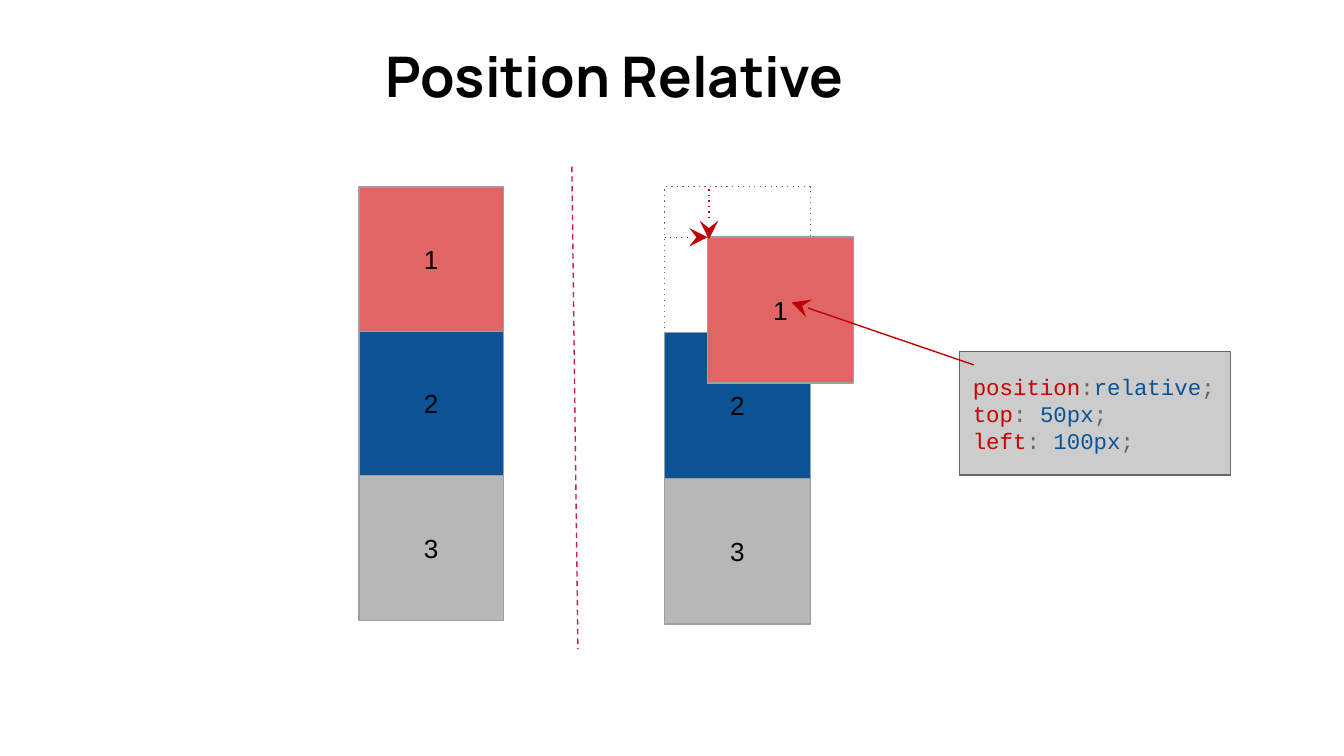
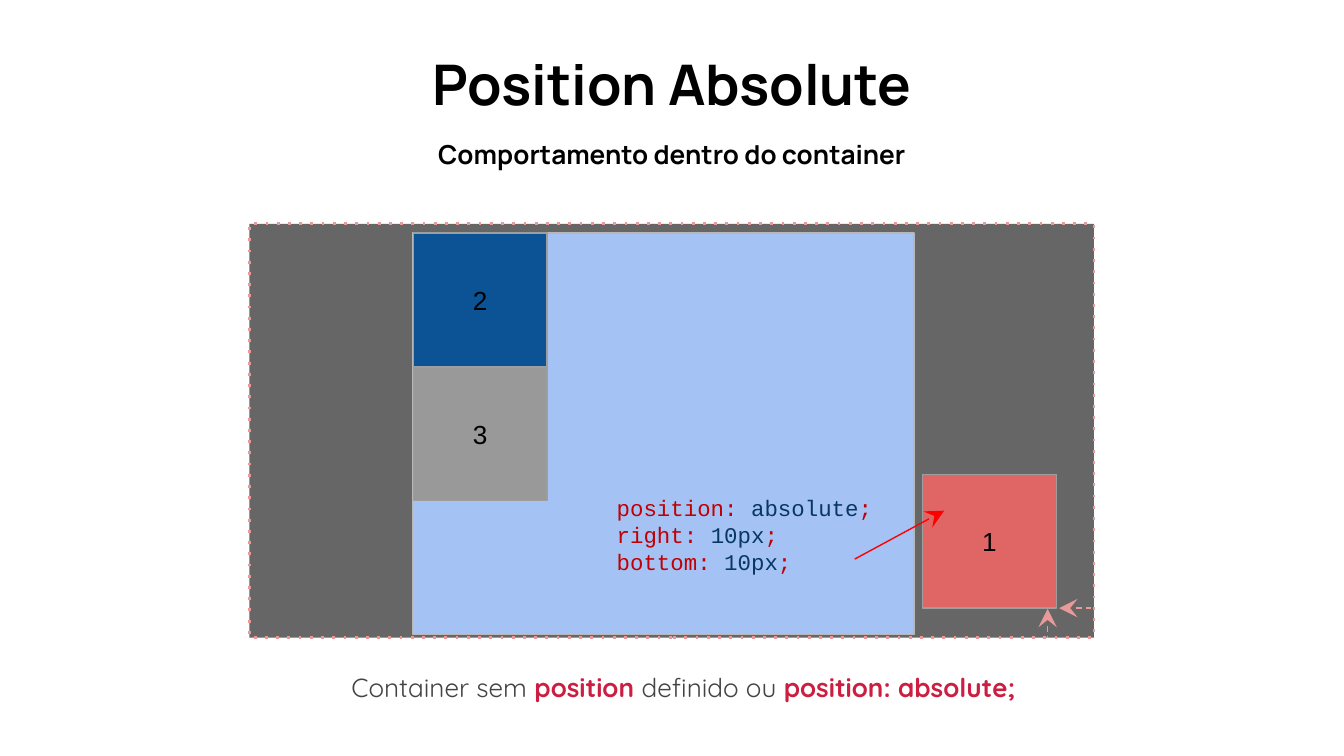
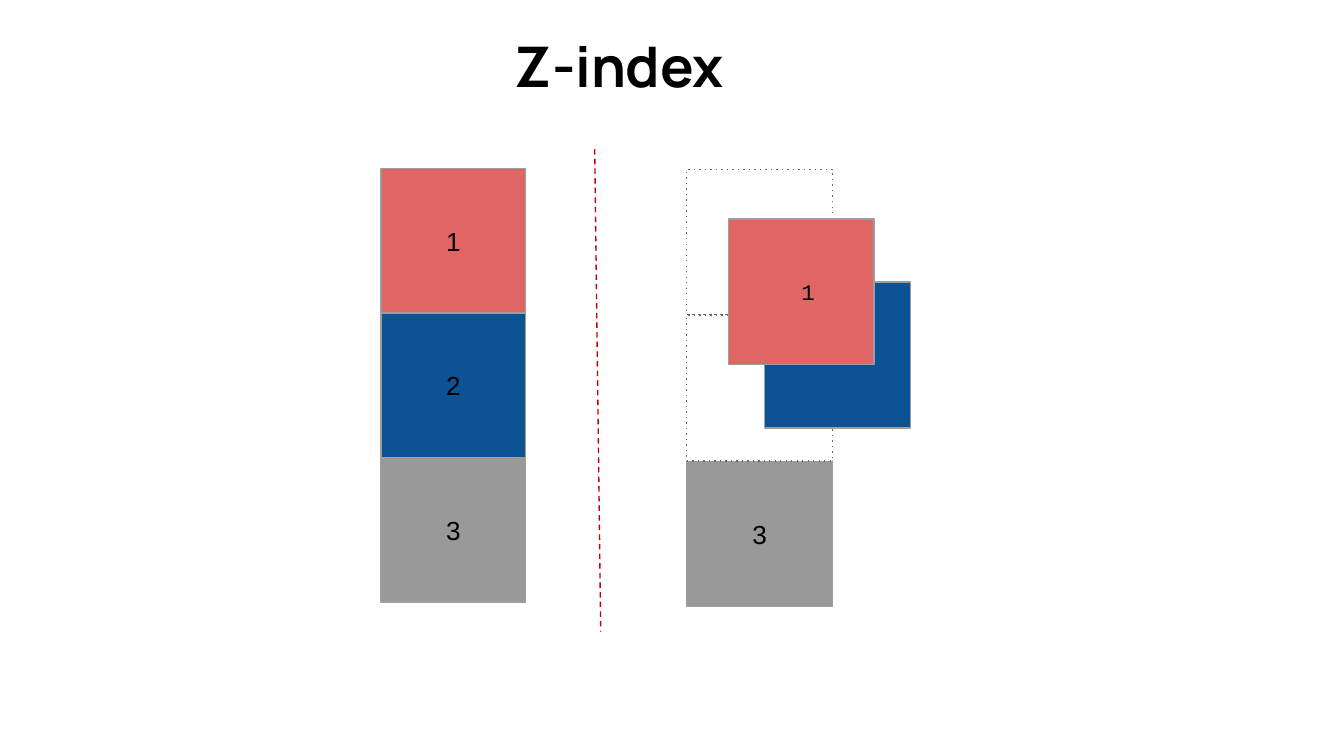
import dataclasses

import lxml.etree
import pptx
import pptx.dml.color
import pptx.enum.shapes
import pptx.enum.text
import pptx.oxml.ns
import pptx.util

PX = 4572  # 200 px to the inch
ALIGN = pptx.enum.text.PP_ALIGN
ANCHOR = pptx.enum.text.MSO_ANCHOR


@dataclasses.dataclass(frozen=True)
class Theme:
    black: str = "000000"
    white: str = "FFFFFF"
    coral: str = "E06666"
    blue: str = "0B5394"
    navy: str = "073763"
    sky: str = "A4C2F4"
    rose: str = "EA9999"
    red: str = "CC0000"
    dark_red: str = "C10003"
    pure_red: str = "FF0000"
    brand: str = "CB1E40"
    ink: str = "434343"
    slate: str = "666666"
    gray: str = "999999"
    edge: str = "9E9E9E"
    silver: str = "B7B7B7"
    pale: str = "CCCCCC"
    head: str = "Manrope"
    body: str = "Quicksand"
    label: str = "Arial"
    mono: str = "Courier New"
    title_pt: int = 30
    text_pt: int = 14
    code_pt: int = 12
    thin: float = 0.75
    thick: float = 1.5


T = Theme()

ONE, TWO = ("1", T.coral), ("2", T.blue)
SILVER, GRAY = ("3", T.silver), ("3", T.gray)
GHOST = ("", T.white)

LEFT, RIGHT, SMALL = 215, 217, 199  # sides of the squares

RELATIVE = [("position", ":", "relative"), ("top", ": ", "50px"),
            ("left", ": ", "100px")]
ABSOLUTE = [("position", ": ", "absolute"), ("right", ": ", "10px"),
            ("bottom", ": ", "10px")]
CAPTION = [("Container sem ", T.ink, False), ("position ", T.brand, True),
           ("definido ou ", T.ink, False),
           ("position: absolute;", T.brand, True)]


def rgb(color):
    return pptx.dml.color.RGBColor.from_string(color)


def px(*sizes):
    return [pptx.util.Emu(size * PX) for size in sizes]


def code(rules, key, mark, value):
    """Turn CSS rules into coloured runs, one paragraph a rule."""
    return [[(name, key), (colon, mark), (val, value), (";", mark)]
            for name, colon, val in rules]


def write(shape, paras, font=T.label, size=T.text_pt, color=T.black,
          bold=False, align=ALIGN.CENTER, anchor=ANCHOR.MIDDLE):
    """Fill a shape; paras is a string or lists of (text, color, bold) runs."""
    if isinstance(paras, str):
        paras = [[(paras, color)]]
    frame = shape.text_frame
    frame.word_wrap = True
    frame.vertical_anchor = anchor
    (frame.margin_left, frame.margin_top,
     frame.margin_right, frame.margin_bottom) = px(20, 20, 20, 20)
    for i, runs in enumerate(paras):
        para = frame.add_paragraph() if i else frame.paragraphs[0]
        para.alignment = align
        for text, tone, *weight in runs:
            run = para.add_run()
            run.text = text
            run.font.name, run.font.size = font, pptx.util.Pt(size)
            run.font.color.rgb = rgb(tone)
            run.font.bold = weight[0] if weight else bold


def text(slide, at, paras, **style):
    write(slide.shapes.add_textbox(*px(*at)), paras, **style)


def title(slide, at, words):
    text(slide, at, words, font=T.head, size=T.title_pt, bold=True,
         anchor=ANCHOR.TOP)


def stroke(shape, color, width=T.thin, dash=None, arrow=None):
    """Style a line; arrow is headEnd or tailEnd."""
    shape.line.color.rgb = rgb(color)
    shape.line.width = pptx.util.Pt(width)
    qn = pptx.oxml.ns.qn
    line = shape.element.spPr.find(qn("a:ln"))
    if dash:
        lxml.etree.SubElement(line, qn("a:prstDash"), val=dash)
    if arrow:
        lxml.etree.SubElement(line, qn("a:" + arrow), type="stealth",
                              w="lg", len="lg")


def rect(slide, at, fill, edge=T.edge, **line):
    kind = pptx.enum.shapes.MSO_SHAPE.RECTANGLE
    shape = slide.shapes.add_shape(kind, *px(*at))
    shape.shadow.inherit = False
    shape.fill.solid()
    shape.fill.fore_color.rgb = rgb(fill)
    stroke(shape, edge, **line)
    return shape


def box(slide, x, y, side, item, **style):
    """Draw a numbered square, or a dotted one where a square used to be."""
    label, fill = item
    at = (x, y, side, side)
    if item == GHOST:
        rect(slide, at, fill, T.slate, dash="dot")
    else:
        write(rect(slide, at, fill), label, **style)


def stack(slide, x, y, side, rows):
    for row, item in rows:
        box(slide, x, y + row * side, side, item)


def link(slide, start, end, color, **line):
    kind = pptx.enum.shapes.MSO_CONNECTOR.STRAIGHT
    shape = slide.shapes.add_connector(kind, *px(*start, *end))
    stroke(shape, color, **line)
    lxml.etree.SubElement(shape.element.spPr, pptx.oxml.ns.qn("a:effectLst"))


def relative(slide):
    title(slide, (185, 42, 1476, 146), "Position Relative ")
    stack(slide, 534, 278, LEFT, enumerate([ONE, TWO, SILVER]))
    stack(slide, 989, 278, RIGHT, enumerate([GHOST, TWO, SILVER]))
    box(slide, 1053, 353, RIGHT, ONE)
    note = rect(slide, (1428, 523, 403, 184), T.pale, T.slate)
    write(note, code(RELATIVE, T.red, T.slate, T.blue), font=T.mono,
          size=T.code_pt, align=ALIGN.LEFT)
    link(slide, (1449, 543), (1178, 450), T.dark_red, arrow="tailEnd")
    link(slide, (851, 248), (860, 966), T.brand, dash="dash")
    for start, end in [((989, 353), (1053, 353)), ((1055, 282), (1055, 356))]:
        link(slide, start, end, T.dark_red, dash="dot", arrow="tailEnd")


def absolute(slide):
    title(slide, (84, 54, 1832, 140), "Position Absolute")
    text(slide, (426, 979, 1182, 78), [CAPTION], font=T.body,
         anchor=ANCHOR.TOP)
    rect(slide, (371, 333, 1257, 616), T.slate, T.rose, width=T.thick,
         dash="dot")
    rect(slide, (614, 347, 746, 597), T.sky, T.silver)
    stack(slide, 615, 347, SMALL, enumerate([TWO, GRAY]))
    box(slide, 1373, 706, SMALL, ONE)
    text(slide, (898, 703, 444, 184),
         code(ABSOLUTE, T.dark_red, T.dark_red, T.navy), font=T.mono,
         size=T.code_pt, align=ALIGN.LEFT)
    link(slide, (1272, 832), (1405, 760), T.pure_red, arrow="tailEnd")
    for start, end in [((1576, 905), (1626, 905)), ((1559, 906), (1559, 950))]:
        link(slide, start, end, T.rose, dash="dash", arrow="headEnd")
    text(slide, (606, 186, 788, 78), "Comportamento dentro do container",
         font=T.head, bold=True, anchor=ANCHOR.TOP)


def layers(slide):
    title(slide, (6, 27, 1832, 140), "Z-index")
    stack(slide, 567, 251, LEFT, enumerate([ONE, TWO, GRAY]))
    link(slide, (885, 222), (894, 940), T.dark_red, dash="dash")
    stack(slide, 1022, 252, RIGHT, [(0, GHOST), (2, GRAY), (1, GHOST)])
    box(slide, 1138, 420, RIGHT, TWO)
    box(slide, 1084, 326, RIGHT, (" 1", T.coral), font=T.mono, size=T.code_pt)


def main():
    deck = pptx.Presentation()
    deck.slide_width, deck.slide_height = px(2000, 1125)
    for draw in (relative, absolute, layers):
        draw(deck.slides.add_slide(deck.slide_layouts[6]))
    deck.save("out.pptx")


if __name__ == "__main__":
    main()
